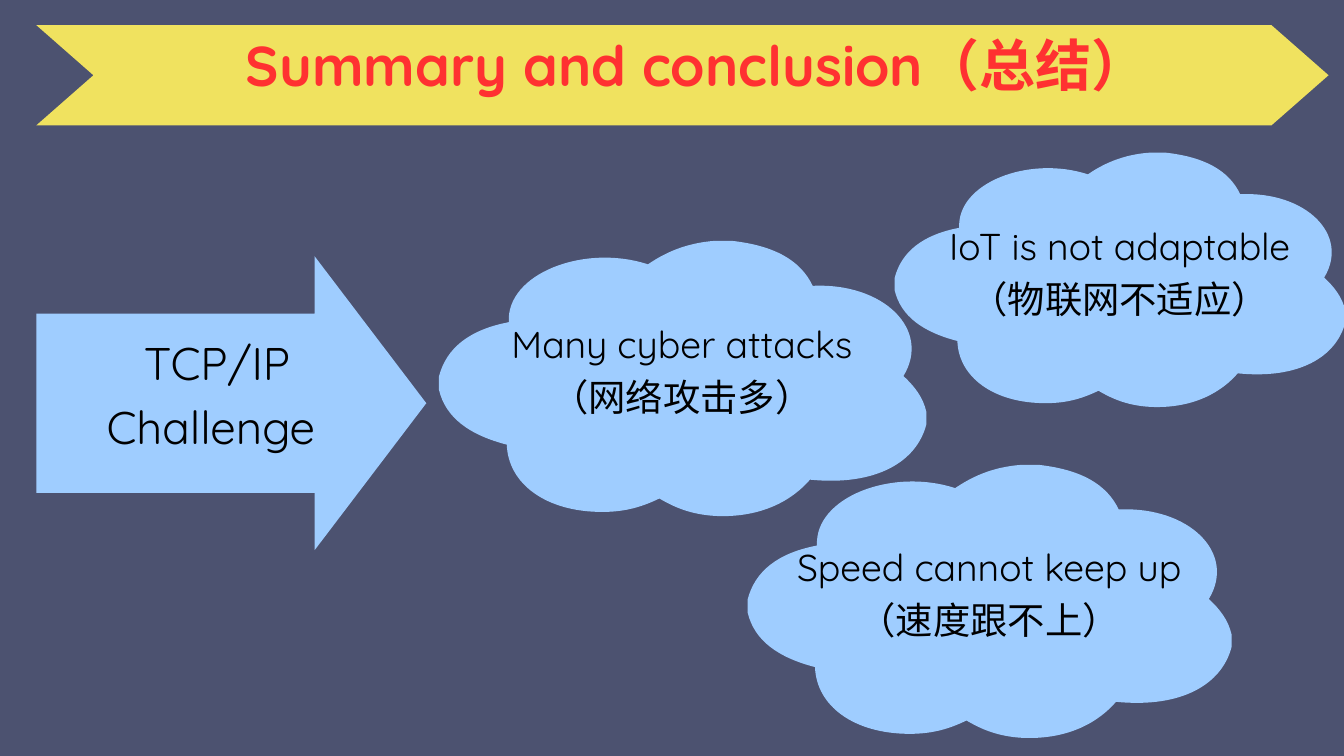
from lxml import etree
from pptx import Presentation
from pptx.dml.color import RGBColor
from pptx.enum.shapes import MSO_SHAPE
from pptx.enum.text import MSO_ANCHOR, PP_ALIGN
from pptx.oxml.ns import qn
from pptx.util import Pt

PX = 9525  # EMU per px, 96 px to the inch
FONT = "Quicksand"
NAVY, YELLOW, SKY, RED, BLACK = "4C5270", "F0E25F", "9FCDFF", "FF3131", "000000"
CHEVRON, RIGHT_ARROW = MSO_SHAPE.CHEVRON, MSO_SHAPE.RIGHT_ARROW
CENTER, MIDDLE = PP_ALIGN.CENTER, MSO_ANCHOR.MIDDLE

# Cloud outline: a start point, then three points for each Bezier curve
CLOUD_SIZE = (733, 412)
CLOUD_START = (412, 0)
CLOUD_CURVES = [
    ((420, 0), (427, 0), (435, 0)),
    ((499, 7), (538, 29), (556, 67)),
    ((661, 62), (733, 132), (691, 201)),
    ((707, 216), (720, 232), (725, 254)),
    ((725, 260), (725, 266), (725, 273)),
    ((711, 328), (651, 365), (552, 355)),
    ((527, 384), (482, 412), (412, 409)),
    ((375, 407), (350, 396), (328, 383)),
    ((305, 394), (280, 403), (243, 403)),
    ((159, 403), (103, 361), (101, 303)),
    ((47, 289), (10, 264), (0, 221)),
    ((0, 215), (0, 208), (0, 202)),
    ((11, 159), (46, 132), (104, 121)),
    ((100, 49), (216, 4), (311, 35)),
    ((333, 20), (365, 3), (412, 0)),
]

CLOUDS = [
    (627, 344, 704, 396, ["Many cyber attacks", "（网络攻击多）"]),
    (1068, 664, 699, 393, ["Speed cannot keep up（速度跟不上）"]),
    (1278, 218, 651, 366, ["IoT is not adaptable（物联网不适应）"]),
]


def rgb(color):
    return RGBColor.from_string(color)


def paint(shape, color):
    shape.shadow.inherit = False
    shape.fill.solid()
    shape.fill.fore_color.rgb = rgb(color)
    shape.line.fill.background()


def add_block(slide, preset, box, color, adjustments):
    block = slide.shapes.add_shape(preset, *(v * PX for v in box))
    for index, value in enumerate(adjustments):
        block.adjustments[index] = value
    paint(block, color)


def add_label(slide, box, lines, size, color=BLACK, bold=False):
    label = slide.shapes.add_textbox(*(v * PX for v in box))
    frame = label.text_frame
    frame.word_wrap = True
    frame.vertical_anchor = MIDDLE
    frame.margin_left = frame.margin_right = 6 * PX
    frame.margin_top = frame.margin_bottom = 6 * PX
    frame.text = "\n".join(lines)
    for paragraph in frame.paragraphs:
        paragraph.alignment = CENTER
        paragraph.line_spacing = Pt(size * 1.4)
        for run in paragraph.runs:
            run.font.name = FONT
            run.font.size = Pt(size)
            run.font.bold = bold
            run.font.color.rgb = rgb(color)


def bend_segments(shape):
    """Turn every three straight segments into one Bezier curve."""
    segments = list(shape._element.iter(qn("a:lnTo")))
    for first in range(0, len(segments), 3):
        curve = etree.Element(qn("a:cubicBezTo"))
        segments[first].addprevious(curve)
        for segment in segments[first:first + 3]:
            curve.append(segment[0])
            segment.getparent().remove(segment)


def add_cloud(slide, left, top, width, height, lines):
    scale = (width * PX / CLOUD_SIZE[0], height * PX / CLOUD_SIZE[1])
    outline = slide.shapes.build_freeform(*CLOUD_START, scale=scale)
    points = [point for curve in CLOUD_CURVES for point in curve]
    outline.add_line_segments(points, close=True)
    cloud = outline.convert_to_shape(left * PX, top * PX)
    bend_segments(cloud)
    paint(cloud, SKY)

    # The text area is inset in proportion to the cloud
    text_box = (round(left + width * 0.046), round(top + height * 0.058),
                round(width * 0.895), round(height * 0.79))
    add_label(slide, text_box, lines, 40)


def main():
    prs = Presentation()
    prs.slide_width, prs.slide_height = 1920 * PX, 1080 * PX
    slide = prs.slides.add_slide(prs.slide_layouts[6])
    slide.background.fill.solid()
    slide.background.fill.fore_color.rgb = rgb(NAVY)

    # Title banner
    add_block(slide, CHEVRON, (52, 36, 1846, 143), YELLOW, [0.57])
    add_label(slide, (123, -12, 1744, 192), ["Summary and conclusion（总结）"],
              60, RED, bold=True)

    # Challenges
    for cloud in CLOUDS:
        add_cloud(slide, *cloud)

    # Arrow leading to the challenges
    add_block(slide, RIGHT_ARROW, (52, 366, 557, 420), SKY, [0.61, 0.38])
    add_label(slide, (52, 409, 516, 296), ["TCP/IP Challenge "], 49)

    prs.save("out.pptx")


if __name__ == "__main__":
    main()
